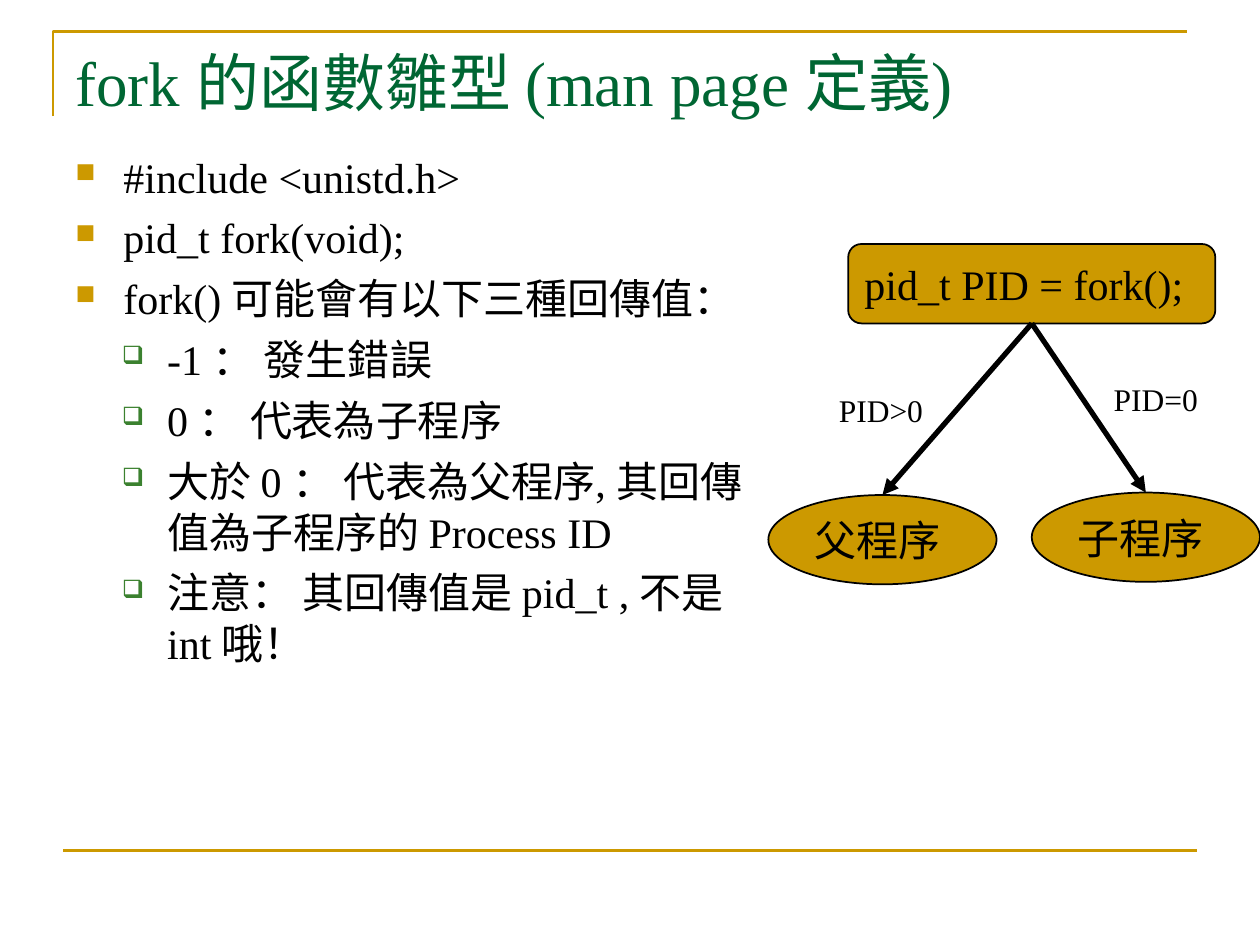
from lxml import etree
from pptx import Presentation
from pptx.dml.color import RGBColor
from pptx.enum import shapes, text
from pptx.oxml.ns import qn
from pptx.util import Cm, Pt

FONT = "Times New Roman"
COLORS = {"gold": "CC9900", "title": "006633", "ink": "000000", "box": "3B812F"}

TITLE = "fork 的函數雛型 (man page 定義)"
BODY = [  # (level, wording)
    (0, "#include <unistd.h>"),
    (0, "pid_t fork(void);"),
    (0, "fork() 可能會有以下三種回傳值："),
    (1, "-1 ： 發生錯誤"),
    (1, "0 ： 代表為子程序"),
    (1, "大於 0 ： 代表為父程序, 其回傳值為子程序的 Process ID"),
    (1, "注意： 其回傳值是 pid_t , 不是 int 哦！"),
]
BULLETS = [  # one style per level: character, colour, percent, margin, hanging
    ("■", "gold", 65, 0.97, 0.97),
    ("❑", "box", 60, 1.85, 0.91),
]
CALL = ("pid_t PID = fork();", (17.1, 4.92, 7.4, 1.6))
BRANCHES = [  # process, its left and top, condition, its left and top
    ("子程序", (20.8, 9.93), "PID=0", (22.2, 7.54)),
    ("父程序", (15.49, 9.98), "PID>0", (16.66, 7.75)),
]
PROCESS_SIZE = (4.6, 1.8)
CONDITION_SIZE = (2.21, 1.02)


def color(name):
    return RGBColor.from_string(COLORS[name])


def style_text(paragraph, size, color_name="ink"):
    paragraph.alignment = text.PP_ALIGN.LEFT
    for run in paragraph.runs:
        run.font.name = FONT
        run.font.size = Pt(size)
        run.font.color.rgb = color(color_name)


def add_text(slide, box, wording, size, color_name="ink", wrap=True):
    text_frame = slide.shapes.add_textbox(*map(Cm, box)).text_frame
    text_frame.word_wrap = wrap
    text_frame.text = wording
    for paragraph in text_frame.paragraphs:
        style_text(paragraph, size, color_name)
    return text_frame


def add_bullet(paragraph, level):
    character, color_name, percent, margin, hanging = BULLETS[level]
    paragraph.level = level
    properties = paragraph._p.get_or_add_pPr()
    properties.set("marL", str(Cm(margin)))
    properties.set("indent", str(-Cm(hanging)))
    bullet_color = etree.SubElement(properties, qn("a:buClr"))
    etree.SubElement(bullet_color, qn("a:srgbClr"), val=COLORS[color_name])
    etree.SubElement(properties, qn("a:buSzPct"), val=str(percent * 1000))
    etree.SubElement(properties, qn("a:buChar"), char=character)


def add_node(slide, kind, box, wording):
    shape = slide.shapes.add_shape(kind, *map(Cm, box))
    shape.shadow.inherit = False
    shape.fill.solid()
    shape.fill.fore_color.rgb = color("gold")
    shape.line.color.rgb = color("ink")
    shape.line.width = Pt(1)
    shape.text_frame.text = wording
    shape.text_frame.vertical_anchor = text.MSO_ANCHOR.MIDDLE
    style_text(shape.text_frame.paragraphs[0], 24)
    return shape


def add_line(slide, color_name, width, ends=(0, 0, 0, 0)):
    line = slide.shapes.add_connector(shapes.MSO_CONNECTOR.STRAIGHT, *map(Cm, ends))
    line.line.color.rgb = color(color_name)
    line.line.width = Pt(width)
    etree.SubElement(line._element.spPr, qn("a:effectLst"))
    return line


def main():
    presentation = Presentation()
    presentation.slide_width, presentation.slide_height = Cm(25.4), Cm(19.05)
    slide = presentation.slides.add_slide(presentation.slide_layouts[6])

    # Corner rule above the title and the rule at the foot
    builder = slide.shapes.build_freeform(Cm(1.07), Cm(2.34))
    builder.add_line_segments([(Cm(1.07), Cm(0.64)), (Cm(23.93), Cm(0.64))], close=False)
    corner = builder.convert_to_shape()
    corner.shadow.inherit = False
    corner.fill.background()
    corner.line.color.rgb = color("gold")
    corner.line.width = Pt(1.5)
    add_line(slide, "gold", 1.5, (1.27, 17.15, 24.13, 17.15))

    # Title and bulleted body
    add_text(slide, (1.27, 0.76, 22.86, 3.18), TITLE, 36, "title")
    wording = "\n".join(line for _, line in BODY)
    body = add_text(slide, (1.27, 2.92, 14.22, 14.1), wording, 24)
    for index, (paragraph, (level, _)) in enumerate(zip(body.paragraphs, BODY)):
        add_bullet(paragraph, level)
        paragraph.space_before = Pt(6 if index else 0)

    # Diagram: the call branches into child and parent
    label, box = CALL
    call = add_node(slide, shapes.MSO_SHAPE.ROUNDED_RECTANGLE, box, label)
    for name, place, condition, condition_place in BRANCHES:
        process = add_node(slide, shapes.MSO_SHAPE.OVAL, place + PROCESS_SIZE, name)
        arrow = add_line(slide, "ink", 3)
        arrow.begin_connect(call, 2)
        arrow.end_connect(process, 0)
        etree.SubElement(arrow.line._get_or_add_ln(), qn("a:tailEnd"), type="triangle")
        add_text(slide, condition_place + CONDITION_SIZE, condition, 18, wrap=False)

    presentation.save("out.pptx")


if __name__ == "__main__":
    main()
